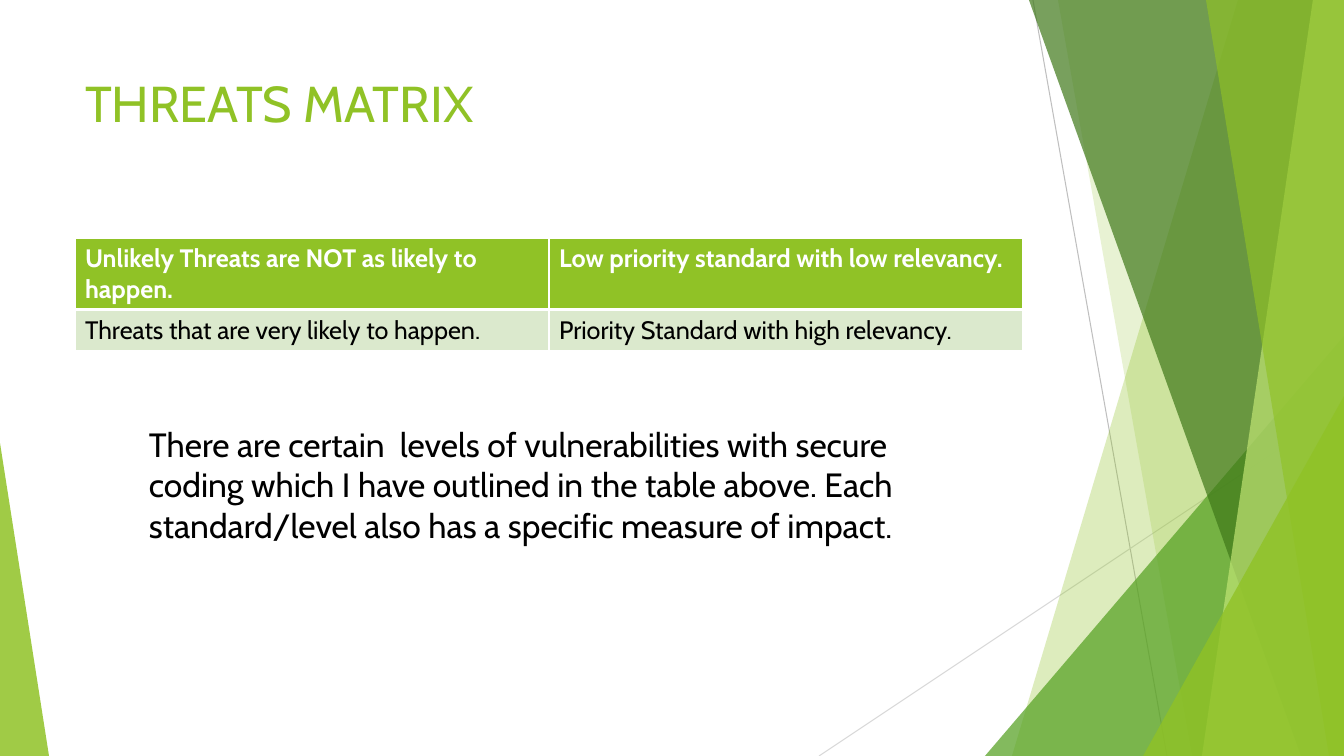
import dataclasses

import pptx
import pptx.dml.color
import pptx.enum.shapes
import pptx.enum.text
import pptx.oxml
import pptx.oxml.ns
import pptx.util
from lxml import etree

EMU_PER_PIXEL = 914400 / 100.8
WIDTH, HEIGHT = 1344, 756


@dataclasses.dataclass(frozen=True)
class Theme:
    """Colours, font and type sizes of the slide."""
    font: str = "Cabin"
    green: str = "90C226"
    leaf: str = "54A021"
    forest: str = "3F7819"
    lime: str = "C0E474"
    pale: str = "DBE9CD"
    white: str = "FFFFFF"
    black: str = "000000"
    grey: str = "BFBFBF"
    light_grey: str = "D9D9D9"
    title_size: int = 36
    body_size: int = 24
    table_size: int = 18


theme = Theme()
rgb = pptx.dml.color.RGBColor.from_string


def pixels(*values):
    """Turn pixel lengths into a list of EMU lengths."""
    return [pptx.util.Emu(round(value * EMU_PER_PIXEL)) for value in values]


def write_text(frame, text, size, color=theme.black, bold=False):
    """Write one left-aligned, wrapped paragraph into a text frame."""
    frame.word_wrap = True
    frame.vertical_anchor = pptx.enum.text.MSO_ANCHOR.TOP
    paragraph = frame.paragraphs[0]
    paragraph.alignment = pptx.enum.text.PP_ALIGN.LEFT
    run = paragraph.add_run()
    run.text = text
    run.font.name = theme.font
    run.font.size = pptx.util.Pt(size)
    run.font.bold = bold
    run.font.color.rgb = rgb(color)


presentation = pptx.Presentation()
presentation.slide_width, presentation.slide_height = pixels(WIDTH, HEIGHT)
slide = presentation.slides.add_slide(presentation.slide_layouts[5])
shapes = slide.shapes

# Thin lines behind the facets
for start_x, start_y, end_x, color in (
    (1033, 0, 1167, theme.grey),
    (WIDTH, 406, 819, theme.light_grey),
):
    line = shapes.add_connector(
        pptx.enum.shapes.MSO_CONNECTOR.STRAIGHT,
        *pixels(start_x, start_y, end_x, HEIGHT))
    line.line.color.rgb = rgb(color)
    line.line.width = pptx.util.Pt(0.75)
    etree.SubElement(line._element.spPr, pptx.oxml.ns.qn("a:effectLst"))

# Facets: a band runs from its top x and bottom x to the right edge;
# a triangle stands on the bottom edge with its apex at one side.
facets = (
    ("band", (1238, 1012), theme.green, 30),
    ("band", (1058, 1192), theme.green, 20),
    ("triangle", (985, 336, 359, 1), theme.leaf, 72),
    ("band", (1029, 1301), theme.forest, 70),
    ("band", (1313, 1202), theme.lime, 70),
    ("band", (1206, 1329), theme.green, 65),
    ("triangle", (1143, 396, 201, 1), theme.green, 80),
    ("triangle", (0, 443, 49, 0), theme.green, 85),
)
for kind, geometry, color, opacity in facets:
    if kind == "band":
        top_x, bottom_x = geometry
        outline = shapes.build_freeform(top_x, 0, scale=EMU_PER_PIXEL)
        outline.add_line_segments(
            [(WIDTH, 0), (WIDTH, HEIGHT), (bottom_x, HEIGHT)], close=True)
        facet = outline.convert_to_shape()
    else:
        left, top, width, apex = geometry
        facet = shapes.add_shape(
            pptx.enum.shapes.MSO_SHAPE.ISOSCELES_TRIANGLE,
            *pixels(left, top, width, HEIGHT - top))
        facet.adjustments[0] = apex
    facet.shadow.inherit = False
    facet.line.fill.background()
    facet.fill.solid()
    facet.fill.fore_color.rgb = rgb(color)
    fill_color = facet._element.spPr.find(".//" + pptx.oxml.ns.qn("a:srgbClr"))
    etree.SubElement(fill_color, pptx.oxml.ns.qn("a:alpha"),
                     val=str(opacity * 1000))

# Title, brought in front of the facets
title = shapes.title
title.left, title.top, title.width, title.height = pixels(75, 67, 947, 146)
title.text_frame.auto_size = pptx.enum.text.MSO_AUTO_SIZE.NONE
write_text(title.text_frame, "THREATS MATRIX",
           size=theme.title_size, color=theme.green)
title._element.getparent().append(title._element)

# Threats table
threats = (
    ("Unlikely Threats are NOT as likely to happen.",
     "Low priority standard with low relevancy."),
    ("Threats that are very likely to happen.",
     "Priority Standard with high relevancy."),
)
table = shapes.add_table(2, 2, *pixels(75, 238, 948, 112)).table
for row, height in zip(table.rows, pixels(71, 41)):
    row.height = height
for row_index, texts in enumerate(threats):
    header = row_index == 0
    borders = {"L": 1, "R": 1, "T": 1 if header else 3, "B": 3 if header else 1}
    for column_index, text in enumerate(texts):
        cell = table.cell(row_index, column_index)
        write_text(cell.text_frame, text, size=theme.table_size, bold=header,
                   color=theme.white if header else theme.black)
        cell_properties = cell._tc.get_or_add_tcPr()
        for side, points in borders.items():
            cell_properties.append(pptx.oxml.parse_xml(
                f'<a:ln{side} {pptx.oxml.ns.nsdecls("a")} '
                f'w="{pptx.util.Pt(points)}"><a:solidFill>'
                f'<a:srgbClr val="{theme.white}"/></a:solidFill></a:ln{side}>'))
        cell.fill.solid()
        cell.fill.fore_color.rgb = rgb(theme.green if header else theme.pale)

# Explanation below the table
explanation = shapes.add_textbox(*pixels(139, 419, 776, 173))
write_text(
    explanation.text_frame,
    "There are certain\u00a0 levels of vulnerabilities with secure coding "
    "which I have outlined in the table above. Each standard/level also has "
    "a specific measure of impact.\u00a0",
    size=theme.body_size)

presentation.save("out.pptx")
